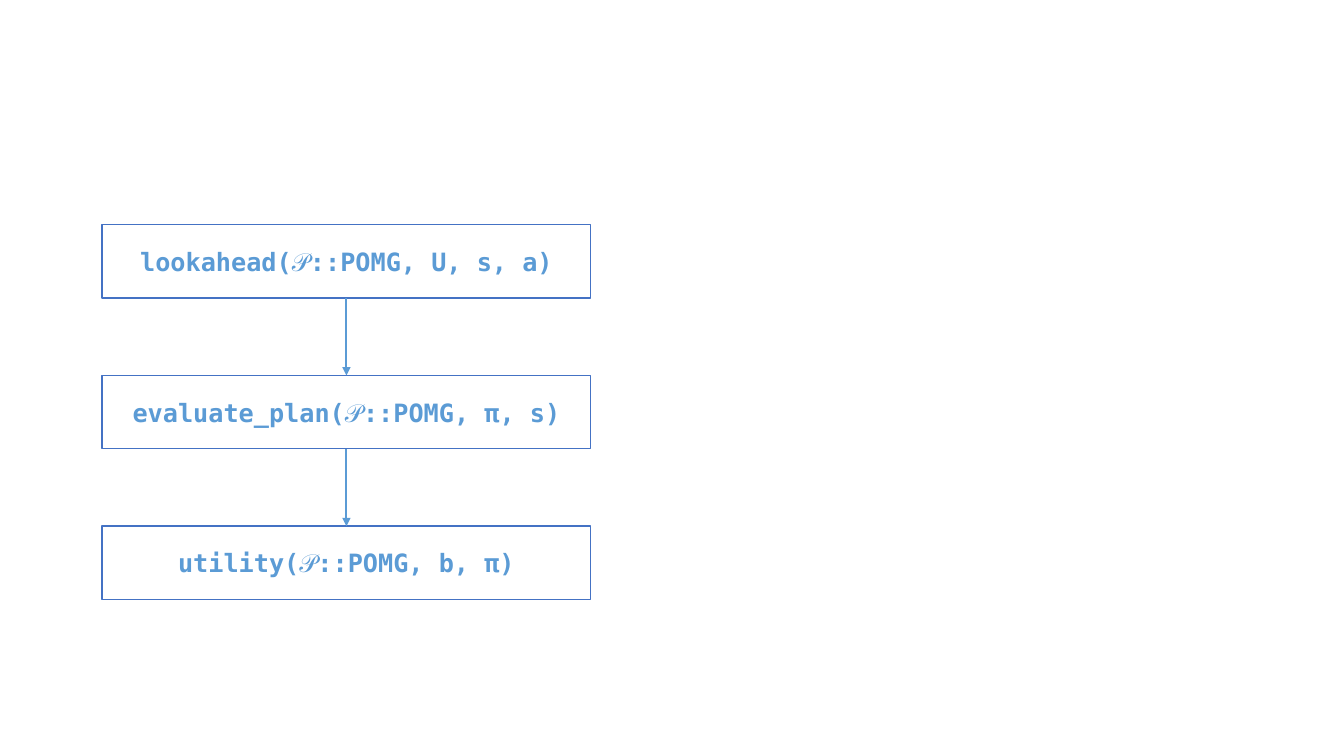
from itertools import pairwise

from lxml.etree import SubElement
from pptx import Presentation
from pptx.dml.color import RGBColor
from pptx.enum.shapes import MSO_CONNECTOR, MSO_SHAPE
from pptx.enum.text import MSO_ANCHOR, PP_ALIGN
from pptx.oxml.ns import qn
from pptx.util import Cm, Pt

WHITE = RGBColor(0xFF, 0xFF, 0xFF)
BORDER_BLUE = RGBColor(0x44, 0x72, 0xC4)
LIGHT_BLUE = RGBColor(0x5B, 0x9B, 0xD5)

LEFT, TOP = 2.57, 5.66
WIDTH, HEIGHT = 12.32, 1.85
PITCH = 3.8
BOTTOM_SIDE, TOP_SIDE = 2, 0

signatures = [
    "lookahead(𝒫::POMG, U, s, a)",
    "evaluate_plan(𝒫::POMG, π, s)",
    "utility(𝒫::POMG, b, π)",
]

presentation = Presentation()
presentation.slide_width = Cm(33.87)
presentation.slide_height = Cm(19.05)
slide = presentation.slides.add_slide(presentation.slide_layouts[6])

functions = []
for row, signature in enumerate(signatures):
    function = slide.shapes.add_shape(
        MSO_SHAPE.RECTANGLE, Cm(LEFT), Cm(TOP + row * PITCH), Cm(WIDTH), Cm(HEIGHT)
    )
    function.shadow.inherit = False
    function.fill.solid()
    function.fill.fore_color.rgb = WHITE
    function.line.color.rgb = BORDER_BLUE
    function.line.width = Pt(1)
    function.text_frame.word_wrap = True
    function.text_frame.vertical_anchor = MSO_ANCHOR.MIDDLE
    paragraph = function.text_frame.paragraphs[0]
    paragraph.text = signature
    paragraph.alignment = PP_ALIGN.CENTER
    paragraph.font.name = "DejaVu Sans Mono"
    paragraph.font.size = Pt(18)
    paragraph.font.bold = True
    paragraph.font.color.rgb = LIGHT_BLUE
    functions.append(function)

for caller, callee in pairwise(functions):
    call = slide.shapes.add_connector(MSO_CONNECTOR.STRAIGHT, 0, 0, 0, 0)
    call.begin_connect(caller, BOTTOM_SIDE)
    call.end_connect(callee, TOP_SIDE)
    call.line.color.rgb = LIGHT_BLUE
    call.line.width = Pt(1.5)
    SubElement(call.line._get_or_add_ln(), qn("a:tailEnd"), type="triangle")
    SubElement(call._element.spPr, qn("a:effectLst"))

presentation.save("out.pptx")
